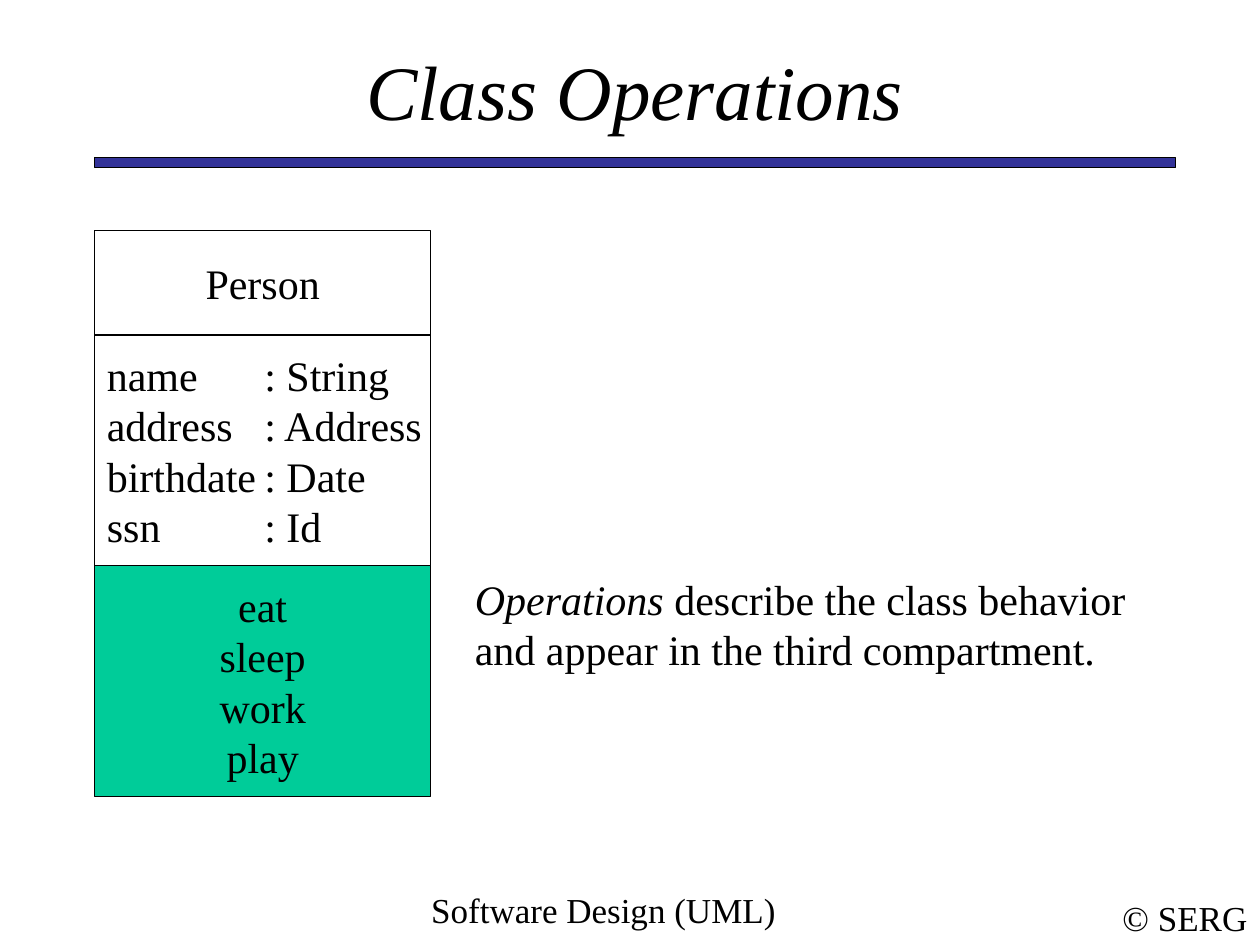
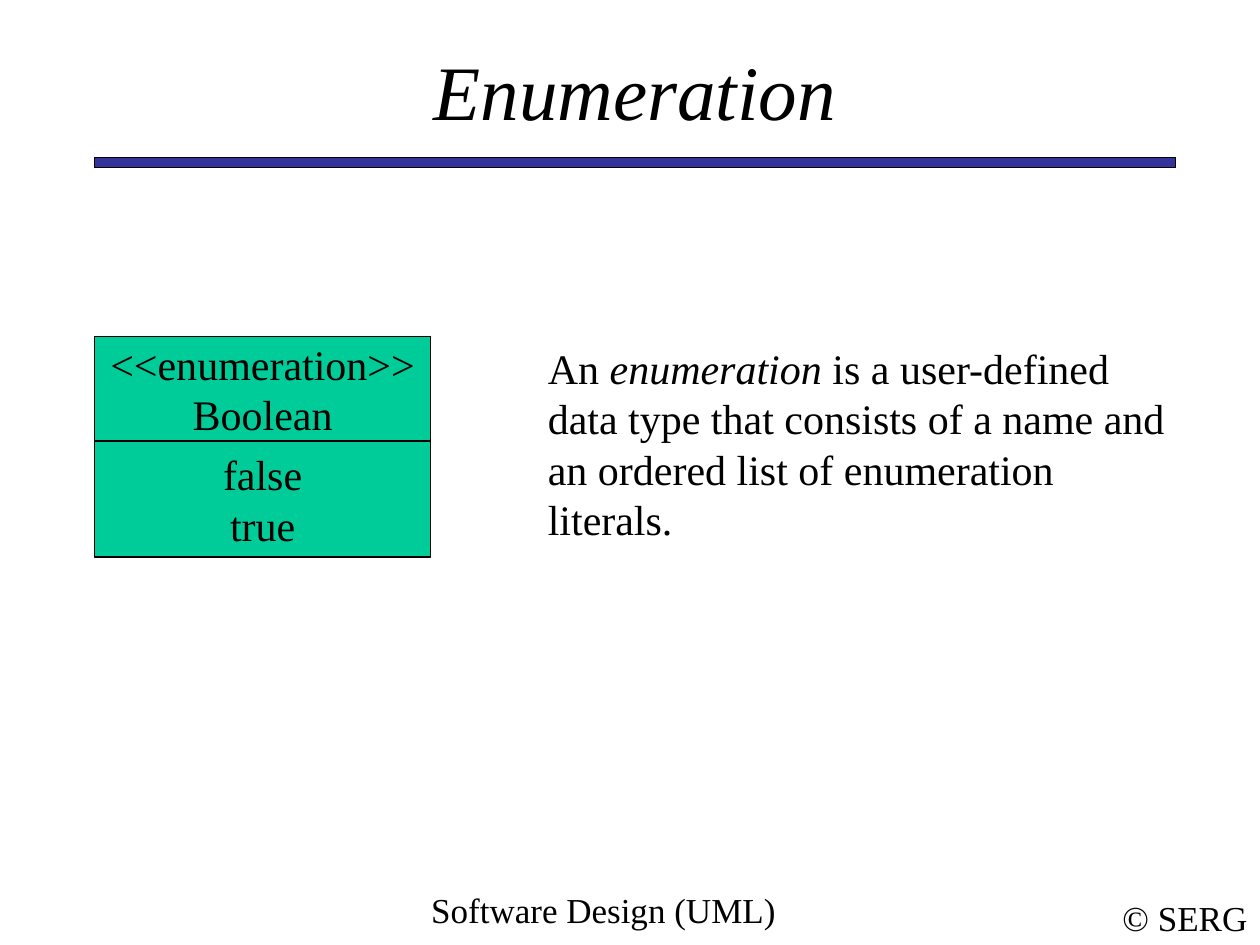
import pptx
import pptx.util
import pptx.dml.color
import pptx.enum.shapes
import pptx.enum.text
import pptx.oxml.ns
import lxml.etree

Inches, Pt = pptx.util.Inches, pptx.util.Pt
RGB = pptx.dml.color.RGBColor
ALIGN = pptx.enum.text.PP_ALIGN
ANCHOR = pptx.enum.text.MSO_ANCHOR
RECT = pptx.enum.shapes.MSO_SHAPE.RECTANGLE

BLACK = RGB(0x00, 0x00, 0x00)
WHITE = RGB(0xFF, 0xFF, 0xFF)
GREEN = RGB(0x00, 0xCC, 0x99)
NAVY = RGB(0x33, 0x33, 0x99)
FONT = "Times New Roman"

# Content: a paragraph is a list of (words, italic) runs
FOOTS = [
    ("Software Design (UML)", (2.58, 7, 4.42, 0.5), ANCHOR.TOP, True),
    ("© SERG", (8.81, 7.07, 1.19, 0.43), ANCHOR.MIDDLE, False),
]
PAGES = [
    {
        "title": "Class Operations",
        "top": 1.83,
        "parts": [  # height, fill, alignment, lines
            (0.83, WHITE, ALIGN.CENTER, ["Person"]),
            (1.83, WHITE, ALIGN.LEFT, ["name\t: String", "address\t: Address",
                                       "birthdate\t: Date", "ssn\t: Id"]),
            (1.83, GREEN, ALIGN.CENTER, ["eat", "sleep", "work", "play"]),
        ],
        "note": [
            [("Operations ", True), ("describe the class behavior", False)],
            [("and appear in the third compartment.", False)],
        ],
        "spot": (3.67, 4.5, 5.45, 0.9),
    },
    {
        "title": "Enumeration",
        "top": 2.67,
        "parts": [
            (0.83, GREEN, ALIGN.CENTER, ["<<enumeration>>", "Boolean"]),
            (0.92, GREEN, ALIGN.CENTER, ["false", "true"]),
        ],
        "note": [[
            ("An ", False), ("enumeration", True),
            (" is a user-defined data type that consists of a name and "
             "an ordered list of enumeration literals.", False),
        ]],
        "spot": (4.25, 2.67, 5.14, 1.7),
    },
]

# Shared layout
LEFT, WIDE = 0.75, 8.58
TITLE = (LEFT, 0.42, WIDE, 0.58)
BAND = (LEFT, 1.25, WIDE, 0.08)
CLASS_W = 2.67
TAB = 1.25


def place(box):
    return [Inches(x) for x in box]


def plain(lines):
    return [[(line, False)] for line in lines]


def add_tab(para):
    props = para._p.get_or_add_pPr()
    tabs = lxml.etree.SubElement(props, pptx.oxml.ns.qn("a:tabLst"))
    lxml.etree.SubElement(tabs, pptx.oxml.ns.qn("a:tab"),
                          pos=str(Inches(TAB)), algn="l")


def write(frame, paras, size, align=ALIGN.LEFT, **form):
    form = {"word_wrap": True, "vertical_anchor": ANCHOR.TOP,
            "auto_size": pptx.enum.text.MSO_AUTO_SIZE.NONE, **form}
    for key, val in form.items():
        setattr(frame, key, val)
    for i, runs in enumerate(paras):
        para = frame.add_paragraph() if i else frame.paragraphs[0]
        para.alignment = align
        if any("\t" in words for words, _ in runs):
            add_tab(para)
        for words, slant in runs:
            run = para.add_run()
            run.text = words
            look = {"name": FONT, "size": Pt(size), "italic": slant}
            for key, val in look.items():
                setattr(run.font, key, val)
            run.font.color.rgb = BLACK


def add_rect(slide, box, fill):
    rect = slide.shapes.add_shape(RECT, *place(box))
    rect.shadow.inherit = False
    rect.fill.solid()
    rect.fill.fore_color.rgb = fill
    rect.line.color.rgb = BLACK
    rect.line.width = Pt(0.75)
    return rect


def add_text(slide, box, paras, size, align=ALIGN.LEFT, **form):
    text = slide.shapes.add_textbox(*place(box))
    write(text.text_frame, paras, size, align, **form)


def add_frame(slide, title):
    # Title, band and footers
    head = slide.shapes.title
    head.left, head.top, head.width, head.height = place(TITLE)
    write(head.text_frame, [[(title, True)]], 44, ALIGN.CENTER,
          vertical_anchor=ANCHOR.MIDDLE)
    add_rect(slide, BAND, NAVY)
    for words, box, anchor, wrap in FOOTS:
        add_text(slide, box, plain([words]), 20, ALIGN.CENTER,
                 vertical_anchor=anchor, word_wrap=wrap)


def add_class(slide, top, parts):
    # Compartments stacked from the top
    for high, fill, align, lines in parts:
        rect = add_rect(slide, (LEFT, top, CLASS_W, high), fill)
        inset = 0.1 if align == ALIGN.CENTER else 0
        write(rect.text_frame, plain(lines), 24, align,
              vertical_anchor=ANCHOR.MIDDLE, margin_right=Inches(inset))
        top += high


def main():
    deck = pptx.Presentation()
    deck.slide_width, deck.slide_height = Inches(10), Inches(7.5)
    for page in PAGES:
        slide = deck.slides.add_slide(deck.slide_layouts[5])
        add_frame(slide, page["title"])
        add_class(slide, page["top"], page["parts"])
        add_text(slide, page["spot"], page["note"], 24)
    deck.save("out.pptx")


if __name__ == "__main__":
    main()
